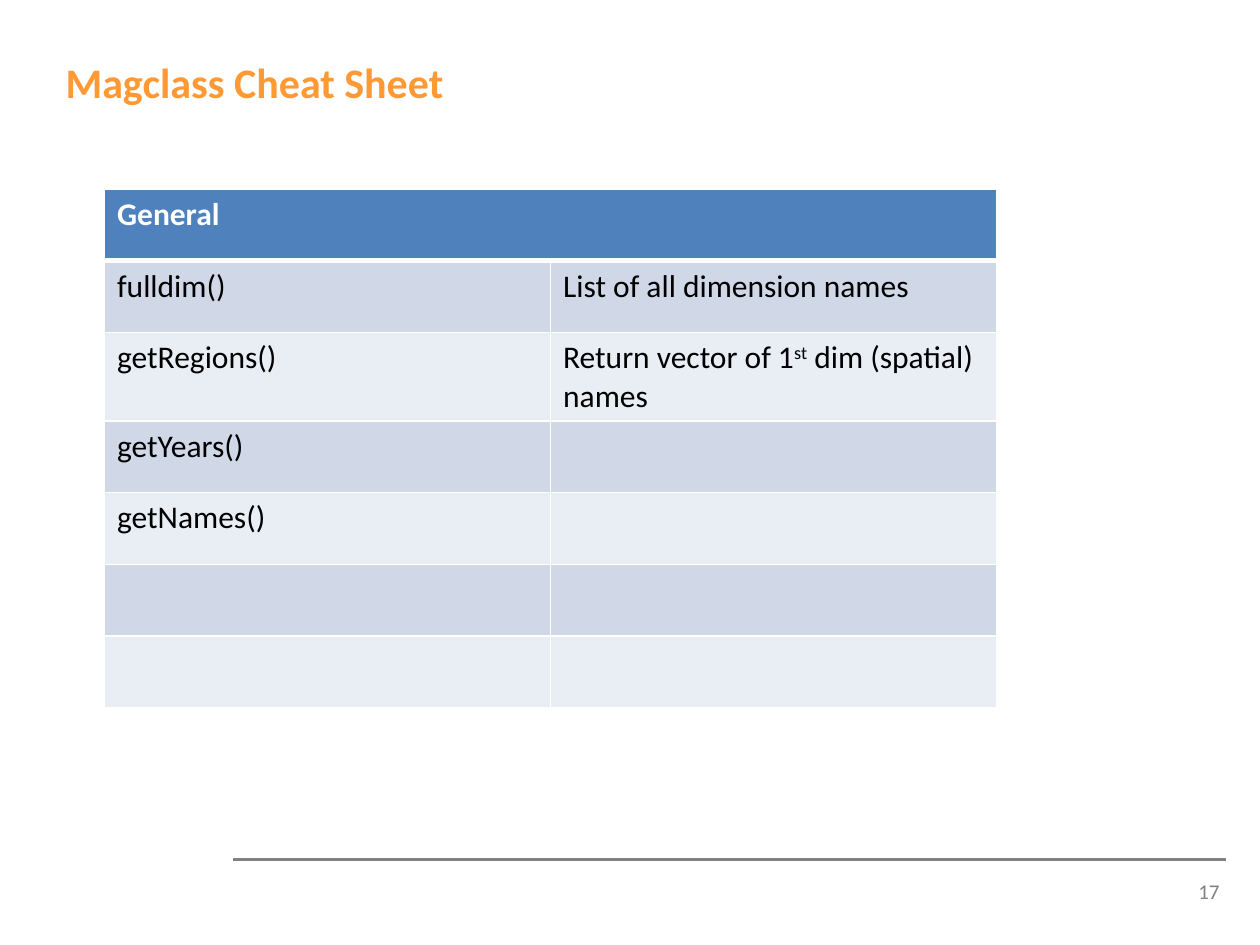
from lxml import etree
from pptx import Presentation
from pptx.dml.color import RGBColor
from pptx.enum.shapes import MSO_CONNECTOR
from pptx.enum.text import MSO_ANCHOR, PP_ALIGN
from pptx.oxml.ns import qn
from pptx.util import Inches, Pt

STRAIGHT = MSO_CONNECTOR.STRAIGHT
TOP = MSO_ANCHOR.TOP
LEFT, RIGHT = PP_ALIGN.LEFT, PP_ALIGN.RIGHT

FONT = "Calibri"
TITLE_ONLY_LAYOUT = 5
COLORS = {
    "title": "FF9933",
    "footer": "818181",
    "header": "4F81BD",
    "odd_row": "D0D8E8",
    "even_row": "E9EDF4",
    "white": "FFFFFF",
    "black": "000000",
}
# Each cell is a list of (text, is_superscript) pieces.
ROWS = [
    [[("General", False)], []],
    [[("fulldim()", False)], [("List of all dimension names", False)]],
    [
        [("getRegions()", False)],
        [("Return vector of 1", False), ("st", True), (" dim (spatial) names", False)],
    ],
    [[("getYears()", False)], []],
    [[("getNames()", False)], []],
    [[], []],
    [[], []],
]


def color(name):
    return RGBColor.from_string(COLORS[name])


def format_paragraph(paragraph, size, color_name, bold=False, alignment=LEFT):
    paragraph.alignment = alignment
    font = paragraph.font
    font.name = FONT
    font.size = Pt(size)
    font.bold = bold
    font.color.rgb = color(color_name)


def place(shape, left, top, width, height):
    shape.left, shape.top = Inches(left), Inches(top)
    shape.width, shape.height = Inches(width), Inches(height)


def clear_insets(text_frame):
    text_frame.margin_left = text_frame.margin_right = 0
    text_frame.margin_top = text_frame.margin_bottom = 0
    text_frame.vertical_anchor = TOP


def add_title(slide, text):
    title = slide.shapes.title
    place(title, 0.52, 0.45, 3.15, 0.42)
    title.text_frame.text = text
    clear_insets(title.text_frame)
    paragraph = title.text_frame.paragraphs[0]
    format_paragraph(paragraph, 24, "title", bold=True)
    paragraph.space_before = Pt(1)


def add_footer(slide, number):
    rule = slide.shapes.add_connector(
        STRAIGHT, Inches(1.85), Inches(6.82), Inches(9.73), Inches(6.82)
    )
    rule.line.color.rgb = color("footer")
    rule.line.width = Pt(1.5)
    etree.SubElement(rule._element.spPr, qn("a:effectLst"))

    box = slide.shapes.add_textbox(Inches(9.42), Inches(7), Inches(0.26), Inches(0.19))
    box.text_frame.text = number
    clear_insets(box.text_frame)
    paragraph = box.text_frame.paragraphs[0]
    format_paragraph(paragraph, 12, "footer", alignment=RIGHT)
    paragraph.line_spacing = Pt(12.4)


def set_borders(cell, top, bottom):
    """Draw white borders, with top and bottom widths in points."""
    properties = cell._tc.get_or_add_tcPr()
    widths = {"a:lnL": 1, "a:lnR": 1, "a:lnT": top, "a:lnB": bottom}
    for index, (tag, width) in enumerate(widths.items()):
        line = etree.Element(qn(tag), w=str(Pt(width)))
        fill = etree.SubElement(line, qn("a:solidFill"))
        etree.SubElement(fill, qn("a:srgbClr"), val=COLORS["white"])
        properties.insert(index, line)


def fill_cell(cell, pieces, row_index):
    is_header = row_index == 0
    band = "header" if is_header else ("even_row", "odd_row")[row_index % 2]
    cell.fill.solid()
    cell.fill.fore_color.rgb = color(band)
    set_borders(cell, 3 if row_index == 1 else 1, 3 if is_header else 1)

    paragraph = cell.text_frame.paragraphs[0]
    format_paragraph(paragraph, 18, "white" if is_header else "black", bold=is_header)
    for text, is_superscript in pieces:
        run = paragraph.add_run()
        run.text = text
        if is_superscript:
            run.font._element.set("baseline", "30000")


def add_function_table(slide):
    frame = slide.shapes.add_table(
        len(ROWS), 2, Inches(0.83), Inches(1.5), Inches(7.08), Inches(3.99)
    )
    table = frame.table
    for row_index, row in enumerate(ROWS):
        table.rows[row_index].height = Inches(0.57)
        for column_index, pieces in enumerate(row):
            fill_cell(table.cell(row_index, column_index), pieces, row_index)
    table.cell(0, 0).merge(table.cell(0, 1))


def main():
    presentation = Presentation()
    presentation.slide_width, presentation.slide_height = Inches(10), Inches(7.5)
    layout = presentation.slide_layouts[TITLE_ONLY_LAYOUT]
    slide = presentation.slides.add_slide(layout)
    add_footer(slide, "17")
    add_title(slide, "Magclass Cheat Sheet")
    add_function_table(slide)
    presentation.save("out.pptx")


if __name__ == "__main__":
    main()
